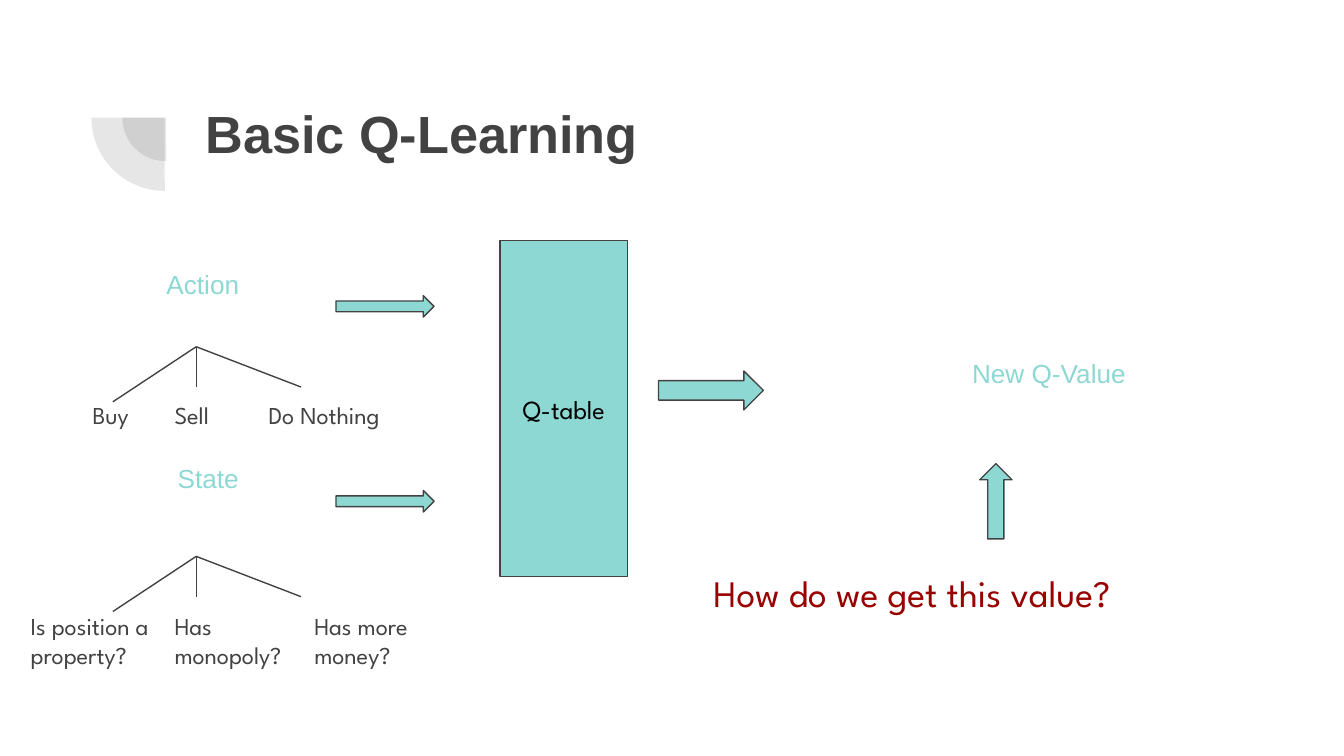
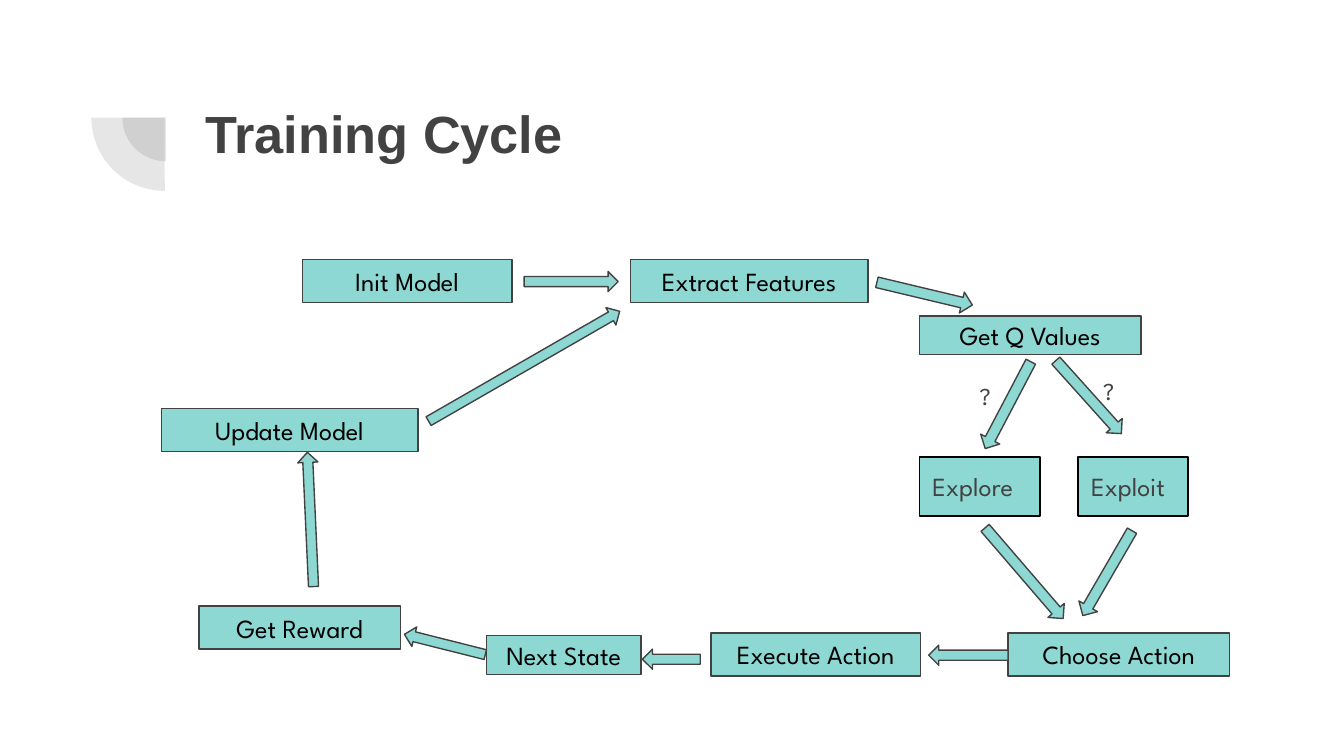
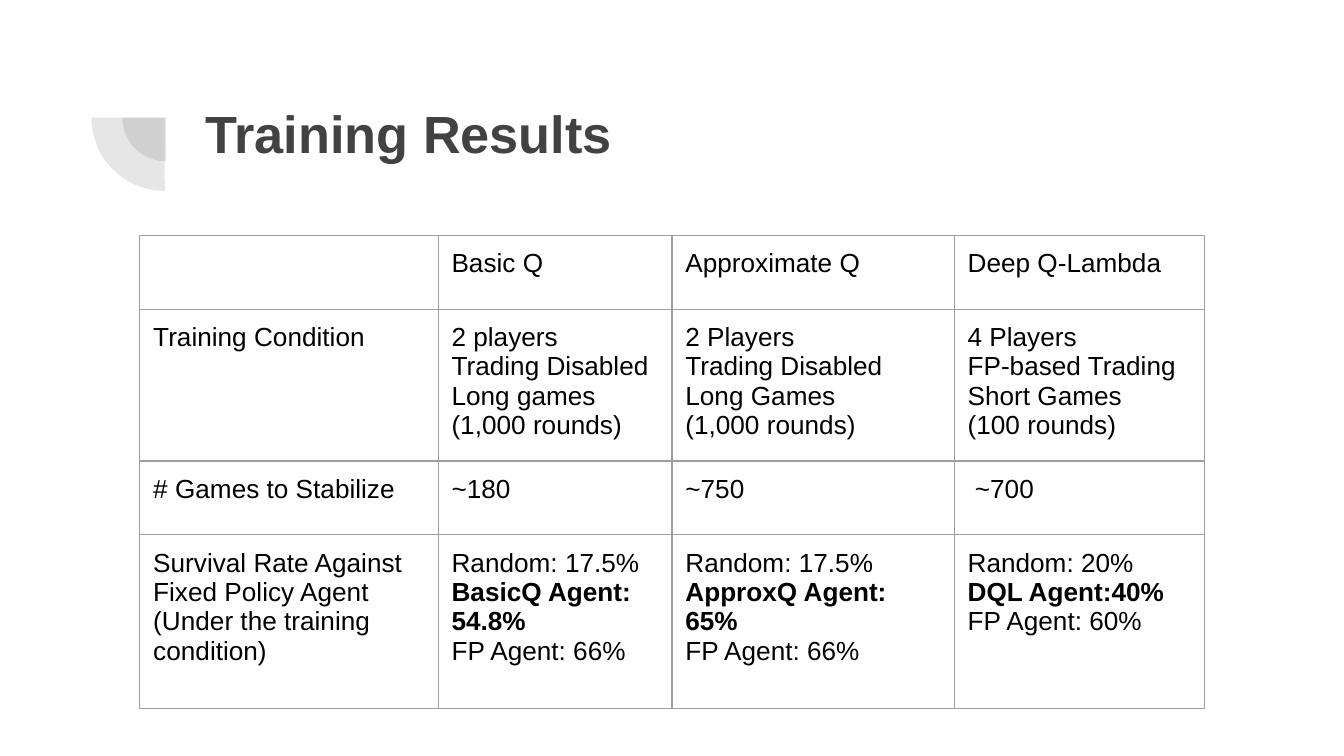
from lxml.etree import SubElement
from pptx import Presentation
from pptx.dml.color import RGBColor
from pptx.enum.shapes import MSO_CONNECTOR, MSO_SHAPE
from pptx.enum.text import MSO_ANCHOR, MSO_AUTO_SIZE, PP_ALIGN
from pptx.oxml.ns import qn
from pptx.util import Pt

PX = 9144  # 100 px to the inch


class Theme:
    ink = RGBColor(0x42, 0x42, 0x42)
    teal = RGBColor(0x8D, 0xD8, 0xD3)
    black = RGBColor(0, 0, 0)
    red = RGBColor(0x99, 0, 0)
    grid = RGBColor(0x9E, 0x9E, 0x9E)
    sans = "Arial"
    display = "League Spartan"
    title, question, body, label = Pt(28), Pt(20), Pt(14), Pt(13)
    line = Pt(0.75)
    inset = 10 * PX


def write(holder, text, size, color, font=Theme.display, align=PP_ALIGN.LEFT,
          anchor=MSO_ANCHOR.TOP, bold=False):
    """Fill a shape or table cell with text, one paragraph per line."""
    tf = holder.text_frame
    tf.text = text
    tf.word_wrap = True
    frame = holder if hasattr(holder, "margin_left") else tf
    frame.margin_left = frame.margin_right = Theme.inset
    frame.margin_top = frame.margin_bottom = Theme.inset
    frame.vertical_anchor = anchor
    for p in tf.paragraphs:
        p.alignment = align
        for r in p.runs:
            r.font.name, r.font.size, r.font.bold = font, size, bold
            r.font.color.rgb = color
    return tf


def add_block(s, kind, box, rotation=0, line=Theme.ink):
    """Add a teal outlined preset shape."""
    sp = s.shapes.add_shape(kind, *[v * PX for v in box])
    sp.rotation = rotation
    sp.shadow.inherit = False
    sp.fill.solid()
    sp.fill.fore_color.rgb = Theme.teal
    sp.line.color.rgb = line
    sp.line.width = Theme.line
    return sp


prs = Presentation()
prs.slide_width = 1000 * PX
prs.slide_height = prs.slide_width * 9 // 16

# Shared layout: title place and the two quarter discs
layout = prs.slide_layouts[5]
for ph in list(layout.placeholders):
    if ph.placeholder_format.idx:
        ph.element.getparent().remove(ph.element)
    else:
        ph.left, ph.top, ph.width, ph.height = [v * PX for v in (143, 65, 769, 109)]

slides = []
for title in ("Basic Q-Learning", "Training Cycle", "Training Results"):
    s = prs.slides.add_slide(layout)
    tf = write(s.shapes.title, title, Theme.title, Theme.ink, Theme.sans, bold=True)
    tf.auto_size = MSO_AUTO_SIZE.NONE
    slides.append(s)
learning, cycle, results = slides

for position, box in enumerate([(91, 55, 65, 65), (68, 33, 109, 109)], start=2):
    disc = add_block(learning, MSO_SHAPE.PIE, box, 270)
    disc.adjustments[0], disc.adjustments[1] = 107.93, 162
    disc.fill.fore_color.rgb = Theme.ink
    disc.line.fill.background()
    color = disc.element.spPr.find(qn("a:solidFill"))[0]
    SubElement(color, qn("a:alpha"), val="13000")
    layout.shapes.element.insert(position, disc.element)

# Slide 1: Basic Q-Learning
q_table = add_block(learning, MSO_SHAPE.RECTANGLE, (372, 179, 95, 250))
write(q_table, "Q-table", Theme.body, Theme.black,
      align=PP_ALIGN.CENTER, anchor=MSO_ANCHOR.MIDDLE)

for kind, box in [
    (MSO_SHAPE.RIGHT_ARROW, (250, 220, 73, 16)),
    (MSO_SHAPE.RIGHT_ARROW, (250, 365, 73, 16)),
    (MSO_SHAPE.RIGHT_ARROW, (490, 276, 78, 29)),
    (MSO_SHAPE.UP_ARROW, (729, 345, 24, 56)),
]:
    add_block(learning, kind, box)

for apex_y in (258, 414):
    for dx, dy in [(-62, 41), (0, 30), (78, 30)]:
        branch = learning.shapes.add_connector(
            MSO_CONNECTOR.STRAIGHT, 146 * PX, apex_y * PX,
            (146 + dx) * PX, (apex_y + dy) * PX)
        branch.line.color.rgb = Theme.ink
        branch.line.width = Theme.line
        SubElement(branch.element.spPr, qn("a:effectLst"))

for text, box in [
    ("Action", (68, 195, 166, 56)),
    ("State", (86, 339, 138, 56)),
    ("New Q-Value", (604, 261, 353, 60)),
]:
    heading = learning.shapes.add_textbox(*[v * PX for v in box])
    tf = write(heading, text, Theme.body, Theme.teal, Theme.sans, PP_ALIGN.CENTER)
    tf.margin_top = tf.margin_bottom = 5 * PX
    rPr = tf.paragraphs[0].runs[0].font._element
    outline = SubElement(rPr, qn("a:ln"), w=str(Theme.line))
    fill = SubElement(outline, qn("a:solidFill"))
    SubElement(fill, qn("a:srgbClr"), val=str(Theme.ink))
    rPr.insert(0, outline)

labels = [
    (learning, "Buy", (59, 288, 52, 30)),
    (learning, "Sell", (120, 288, 52, 30)),
    (learning, "Do Nothing", (190, 288, 126, 30)),
    (learning, "Is position a property?", (13, 445, 115, 56)),
    (learning, "Has\nmonopoly?", (120, 445, 115, 79)),
    (learning, "Has more money?", (224, 445, 126, 30)),
]
question = learning.shapes.add_textbox(*[v * PX for v in (521, 414, 382, 54)])
write(question, "How do we get this value?", Theme.question, Theme.red)

# Slide 2: Training Cycle
for text, box in [
    ("Init Model", (225, 193, 156, 32)),
    ("Extract Features", (469, 193, 177, 32)),
    ("Get Q Values", (684, 235, 165, 29)),
    ("Choose Action", (750, 471, 165, 32)),
    ("Execute Action", (529, 471, 156, 32)),
    ("Next State", (362, 473, 115, 29)),
    ("Get Reward", (148, 451, 150, 32)),
    ("Update Model", (120, 304, 191, 32)),
]:
    step = add_block(cycle, MSO_SHAPE.RECTANGLE, box)
    write(step, text, Theme.body, Theme.black,
          align=PP_ALIGN.CENTER, anchor=MSO_ANCHOR.MIDDLE)

for text, box in [("Explore", (684, 340, 90, 44)), ("Exploit", (802, 340, 82, 44))]:
    choice = add_block(cycle, MSO_SHAPE.RECTANGLE, box, line=Theme.black)
    write(choice, text, Theme.body, Theme.ink)

for kind, box, rotation in [
    (MSO_SHAPE.RIGHT_ARROW, (390, 202, 70, 15), 0),
    (MSO_SHAPE.DOWN_ARROW, (680, 182, 16, 73), 283.4),
    (MSO_SHAPE.DOWN_ARROW, (742, 265, 16, 73), 27.7),
    (MSO_SHAPE.DOWN_ARROW, (802, 259, 16, 73), 318.1),
    (MSO_SHAPE.DOWN_ARROW, (754, 382, 16, 89), 319.3),
    (MSO_SHAPE.DOWN_ARROW, (816, 390, 16, 73), 30.1),
    (MSO_SHAPE.RIGHT_ARROW, (691, 480, 59, 15), 180),
    (MSO_SHAPE.RIGHT_ARROW, (478, 483, 43, 15), 180),
    (MSO_SHAPE.RIGHT_ARROW, (300, 472, 62, 15), 194.1),
    (MSO_SHAPE.RIGHT_ARROW, (181, 379, 100, 15), 267.4),
    (MSO_SHAPE.RIGHT_ARROW, (308, 265, 164, 15), 330.1),
]:
    add_block(cycle, kind, box, rotation)

labels += [(cycle, "?", (811, 270, 26, 42)), (cycle, "?", (719, 274, 20, 42))]
for s, text, box in labels:
    label = s.shapes.add_textbox(*[v * PX for v in box])
    write(label, text, Theme.label, Theme.ink)

# Slide 3: Training Results
rows = [
    ["", "Basic Q", "Approximate Q", "Deep Q-Lambda"],
    ["Training Condition",
     "2 players\nTrading Disabled\nLong games (1,000 rounds)",
     "2 Players\nTrading Disabled\nLong Games\n(1,000 rounds)",
     "4 Players\nFP-based Trading\nShort Games\n(100 rounds)"],
    ["# Games to Stabilize", "~180", "~750", " ~700"],
    ["Survival Rate Against Fixed Policy Agent (Under the training condition)",
     "Random: 17.5%\nBasicQ Agent: 54.8%\nFP Agent: 66%",
     "Random: 17.5%\nApproxQ Agent: 65%\nFP Agent: 66%",
     "Random: 20%\nDQL Agent:40%\nFP Agent: 60%"],
]
widths, heights = (222, 174, 210, 186), (55, 113, 55, 129)
table = results.shapes.add_table(
    len(rows), len(widths), 104 * PX, 175 * PX,
    sum(widths) * PX, sum(heights) * PX).table
table.first_row = table.horz_banding = False
for column, width in zip(table.columns, widths):
    column.width = width * PX
for row, height in zip(table.rows, heights):
    row.height = height * PX

for y, texts in enumerate(rows):
    for x, text in enumerate(texts):
        cell = table.cell(y, x)
        tf = write(cell, text, Theme.body, Theme.black, Theme.sans)
        if y == 3 and x > 0:
            tf.paragraphs[1].runs[0].font.bold = True
        cell.fill.background()
        tcPr = cell._tc.get_or_add_tcPr()
        for i, side in enumerate(("lnL", "lnR", "lnT", "lnB")):
            border = SubElement(tcPr, qn(f"a:{side}"), w=str(Theme.line))
            fill = SubElement(border, qn("a:solidFill"))
            SubElement(fill, qn("a:srgbClr"), val=str(Theme.grid))
            tcPr.insert(i, border)

prs.save("out.pptx")
